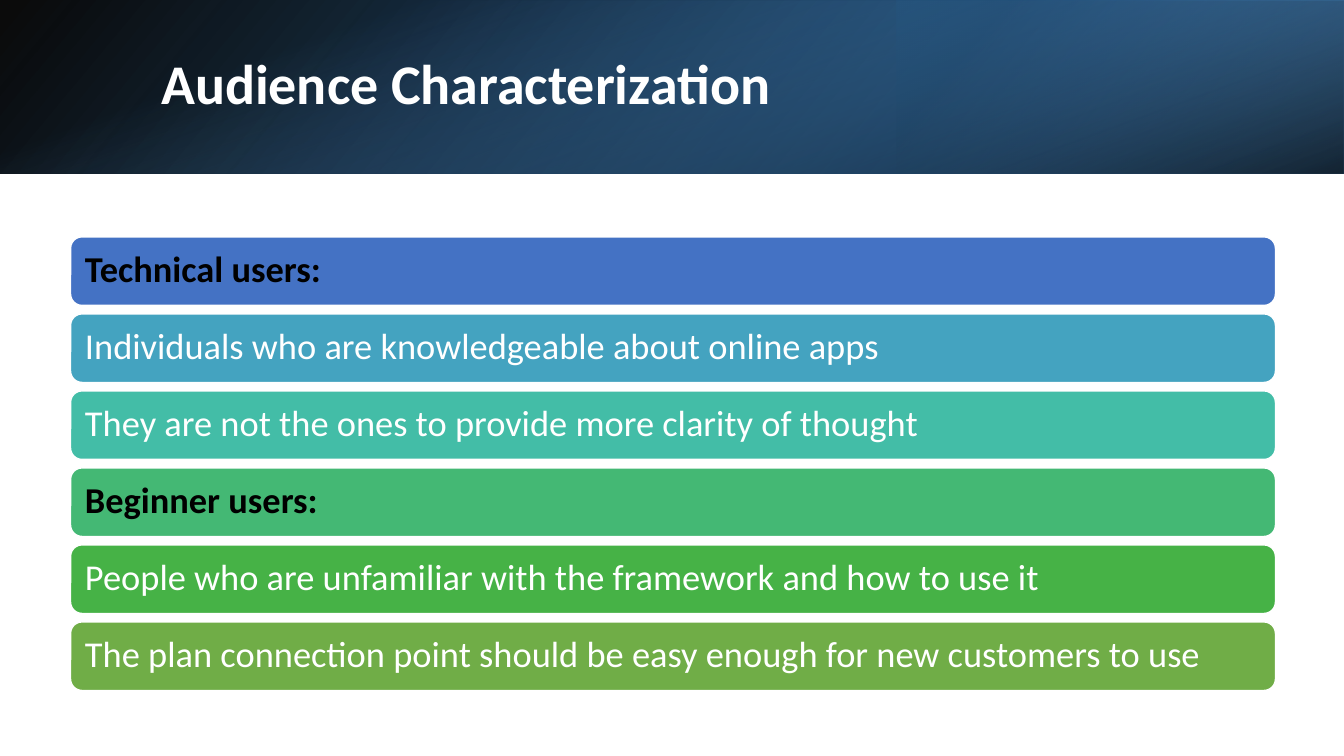
from pptx import Presentation
from pptx.dml.color import RGBColor
from pptx.enum.shapes import MSO_SHAPE
from pptx.enum.text import MSO_ANCHOR, PP_ALIGN
from pptx.oxml.ns import qn
from pptx.util import Inches, Pt
from lxml import etree

RECT, ROUNDED = MSO_SHAPE.RECTANGLE, MSO_SHAPE.ROUNDED_RECTANGLE
MIDDLE, LEFT = MSO_ANCHOR.MIDDLE, PP_ALIGN.LEFT
FONT = "Calibri"

COLORS = {
    "white": "FFFFFF", "black": "000000", "deep": "2E75B6",
    "navy": "1F4E79", "sky": "5B9BD5", "blue": "4472C4",
    "cyan": "44A3C0", "teal": "43BDA7", "mint": "44B874",
    "green": "46B246", "olive": "70AD47",
}

# Content
TITLE = "Audience Characterization"
AUDIENCES = [  # text, bar colour, is heading
    ("Technical users:", "blue", True),
    ("Individuals who are knowledgeable about online apps", "cyan", False),
    ("They are not the ones to provide more clarity of thought", "teal", False),
    ("Beginner users:", "mint", True),
    ("People who are unfamiliar with the framework and how to use it", "green", False),
    ("The plan connection point should be easy enough for new customers to use",
     "olive", False),
]
# Banner layers: box, rotation, flipped, clockwise gradient angle,
# stops (position %, colour, opacity %)
BANNER = [
    ((0, 0, 13.33, 1.72), 0, True, 140, [(0, "black", 96), (100, "deep", 100)]),
    ((8.89, 0, 4.44, 1.72), 180, True, 320, [(19, "navy", 68), (100, "sky", 79)]),
    ((5.8, -5.8, 1.72, 13.33), 90, False, 340, [(23, "sky", 0), (99, "black", 74)]),
]
BAR_LEFT, BAR_TOP, BAR_WIDTH, BAR_HEIGHT = 0.7, 2.35, 11.95, 0.68
BAR_PITCH = 0.764


def rgb(name):
    return RGBColor.from_string(COLORS[name])


def add_panel(slide, preset, box):
    panel = slide.shapes.add_shape(preset, *map(Inches, box))
    panel.shadow.inherit = False
    return panel


def fill_gradient(panel, angle, stops):
    panel.fill.gradient()
    panel.fill.gradient_angle = 360 - angle
    for stop, (position, color, _) in zip(panel.fill.gradient_stops, stops):
        stop.position = position / 100
        stop.color.rgb = rgb(color)
    tints = panel._element.spPr.iter(qn("a:srgbClr"))
    for tint, (_, _, opacity) in zip(tints, stops):
        etree.SubElement(tint, qn("a:alpha")).set("val", str(opacity * 1000))


def write_line(frame, text, size, color, bold):
    frame.word_wrap = True
    frame.vertical_anchor = MIDDLE
    line = frame.paragraphs[0]
    line.text = text
    line.alignment = LEFT
    line.line_spacing = 0.9
    line.font.name = FONT
    line.font.size = Pt(size)
    line.font.bold = bold
    line.font.color.rgb = rgb(color)


prs = Presentation()
prs.slide_width, prs.slide_height = Inches(13.33), Inches(7.5)
slide = prs.slides.add_slide(prs.slide_layouts[6])

# Banner
for box, rotation, flipped, angle, stops in BANNER:
    layer = add_panel(slide, RECT, box)
    layer.rotation = rotation
    if flipped:
        layer._element.spPr.xfrm.set("flipH", "1")
    layer.line.fill.background()
    fill_gradient(layer, angle, stops)

# Title
title = slide.shapes.add_textbox(*map(Inches, (1.5, 0.38, 10.98, 0.96)))
write_line(title.text_frame, TITLE, 40, "white", True)

# Audience bars
for row, (text, color, heading) in enumerate(AUDIENCES):
    top = BAR_TOP + row * BAR_PITCH
    bar = add_panel(slide, ROUNDED, (BAR_LEFT, top, BAR_WIDTH, BAR_HEIGHT))
    bar.fill.solid()
    bar.fill.fore_color.rgb = rgb(color)
    bar.line.color.rgb = rgb("white")
    bar.line.width = Pt(1)
    frame = bar.text_frame
    frame.margin_left = frame.margin_right = Inches(0.11)
    frame.margin_top = frame.margin_bottom = Inches(0.11)
    write_line(frame, text, 26, "black" if heading else "white", heading)

prs.save("out.pptx")
